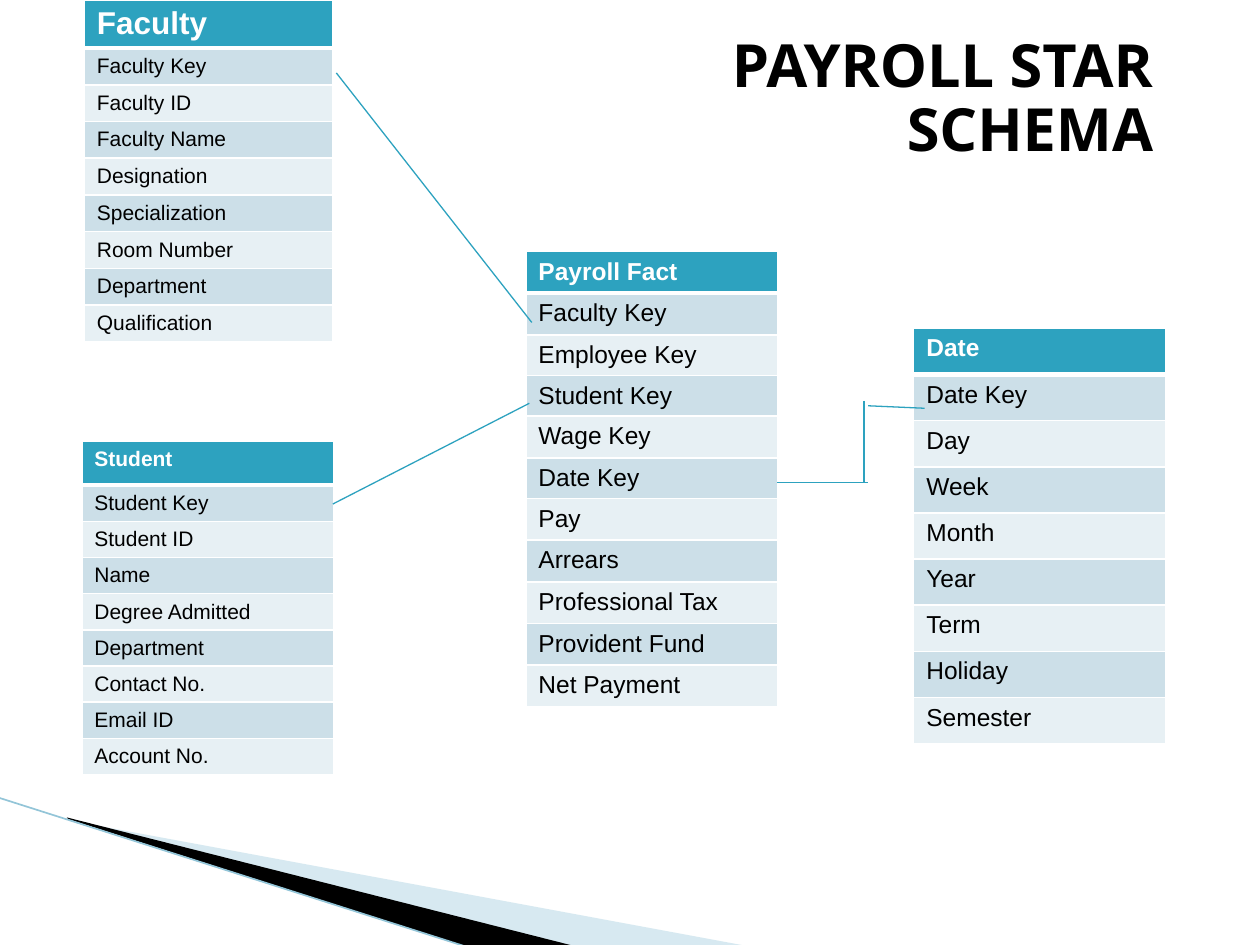
from lxml import etree
from pptx import Presentation
from pptx.dml.color import RGBColor
from pptx.enum.shapes import MSO_CONNECTOR
from pptx.enum.text import MSO_ANCHOR, MSO_AUTO_SIZE, PP_ALIGN
from pptx.oxml.ns import qn
from pptx.util import Cm, Pt

STRAIGHT = MSO_CONNECTOR.STRAIGHT
MIDDLE = MSO_ANCHOR.MIDDLE
NO_AUTOFIT = MSO_AUTO_SIZE.NONE
RIGHT = PP_ALIGN.RIGHT

COLORS = {
    "header": "2DA2BF", "odd": "CCDFE8", "even": "E7F0F4",
    "white": "FFFFFF", "black": "000000",
    "wave": "9CCADC", "wave_edge": "93C5D8",
}
TITLE = "PAYROLL STAR SCHEMA"
ENTITIES = [
    {"name": "Payroll Fact", "at": (10.6, 5.07), "width": 5.08, "sizes": (14, 14),
     "heights": [0.84, 0.84, 0.82, 0.82, 0.84, 0.82] + [0.84] * 5,
     "fields": ["Faculty Key", "Employee Key", "Student Key", "Wage Key", "Date Key",
                "Pay", "Arrears", "Professional Tax", "Provident Fund", "Net Payment"]},
    {"name": "Date", "at": (18.42, 6.62), "width": 5.08, "sizes": (14, 14),
     "heights": [0.93] * 9,
     "fields": ["Date Key", "Day", "Week", "Month", "Year", "Term", "Holiday",
                "Semester"]},
    {"name": "Faculty", "at": (1.7, 0), "width": 5, "sizes": (18, 12),
     "heights": [0.97] + [0.74] * 8,
     "fields": ["Faculty Key", "Faculty ID", "Faculty Name", "Designation",
                "Specialization", "Room Number", "Department", "Qualification"]},
    {"name": "Student", "at": (1.65, 8.89), "width": 5.08, "sizes": (12, 12),
     "heights": [0.89] + [0.72] * 8,
     "fields": ["Student Key", "Student ID", "Name", "Degree Admitted", "Department",
                "Contact No.", "Email ID", "Account No."]},
]
RELATIONS = [
    (15.67, 9.73, 17.5, 9.73),
    (6.71, 10.16, 10.67, 8.13),
    (6.78, 1.47, 10.72, 6.5),
    (17.42, 8.08, 17.42, 9.73),
    (17.5, 8.18, 18.64, 8.23),
]
WAVES = [
    ("wave", 40, [(1.4, 16.54), (15.11, 19.08), (11.58, 19.08), (1.4, 16.51)]),
    ("black", 100, [(1.35, 16.48), (11.61, 19.08), (9.45, 19.1), (1.37, 16.51)]),
]
WAVE_EDGE = (-0.03, 16.08, 9.45, 19.1)


def rgb(name):
    return RGBColor.from_string(COLORS[name])


def style_font(font, family, size, color, bold):
    font.name, font.size, font.bold = family, Pt(size), bold
    font.color.rgb = rgb(color)


def add_wave(shapes, color, opacity, points):
    corners = [(Cm(x), Cm(y)) for x, y in points]
    builder = shapes.build_freeform(*corners[0])
    builder.add_line_segments(corners[1:])
    wave = builder.convert_to_shape()
    wave.shadow.inherit = False
    wave.line.fill.background()
    wave.fill.solid()
    wave.fill.fore_color.rgb = rgb(color)
    if opacity < 100:
        tint = wave.fill._xPr.find(qn("a:solidFill"))[0]
        etree.SubElement(tint, qn("a:alpha")).set("val", str(opacity * 1000))


def add_line(shapes, ends, color, width):
    line = shapes.add_connector(STRAIGHT, *map(Cm, ends))
    line.line.color.rgb = rgb(color)
    line.line.width = Pt(width)
    etree.SubElement(line._element.spPr, qn("a:effectLst"))


def add_borders(cell, bottom):
    properties = cell._tc.get_or_add_tcPr()
    for side, width in (("L", 1), ("R", 1), ("T", 1), ("B", bottom)):
        border = etree.SubElement(properties, qn(f"a:ln{side}"), w=str(Pt(width)))
        fill = etree.SubElement(border, qn("a:solidFill"))
        etree.SubElement(fill, qn("a:srgbClr"), val=COLORS["white"])


def add_entity(shapes, entity):
    labels = [entity["name"], *entity["fields"]]
    heights = entity["heights"]
    left, top = entity["at"]
    table = shapes.add_table(len(labels), 1, Cm(left), Cm(top),
                             Cm(entity["width"]), Cm(sum(heights))).table
    for index, (label, height) in enumerate(zip(labels, heights)):
        is_header = index == 0
        table.rows[index].height = Cm(height)
        cell = table.cell(index, 0)
        cell.text = label
        style_font(cell.text_frame.paragraphs[0].font, "Arial",
                   entity["sizes"][not is_header],
                   "white" if is_header else "black", is_header)
        add_borders(cell, 3 if is_header else 1)
        if index == 1:
            cell._tc.tcPr.find(qn("a:lnT")).set("w", str(Pt(3)))
        cell.fill.solid()
        cell.fill.fore_color.rgb = rgb(
            "header" if is_header else "odd" if index % 2 else "even")


def add_title(title):
    title.left, title.top, title.width, title.height = map(Cm, (10.6, 0.43, 12.9, 3.18))
    frame = title.text_frame
    frame.text = TITLE
    frame.word_wrap = True
    frame.auto_size = NO_AUTOFIT
    frame.vertical_anchor = MIDDLE
    paragraph = frame.paragraphs[0]
    paragraph.alignment = RIGHT
    paragraph.line_spacing = 0.9
    style_font(paragraph.font, "Open Sans", 34, "black", True)


def main():
    """Build the payroll star schema slide."""
    deck = Presentation()
    deck.slide_width, deck.slide_height = Cm(25.4), Cm(19.05)
    slide = deck.slides.add_slide(deck.slide_layouts[5])
    shapes = slide.shapes
    for wave in WAVES:
        add_wave(shapes, *wave)
    add_line(shapes, WAVE_EDGE, "wave_edge", 0.95)
    add_title(shapes.title)
    for entity in ENTITIES:
        add_entity(shapes, entity)
    for ends in RELATIONS:
        add_line(shapes, ends, "header", 0.75)
    deck.save("out.pptx")


if __name__ == "__main__":
    main()
